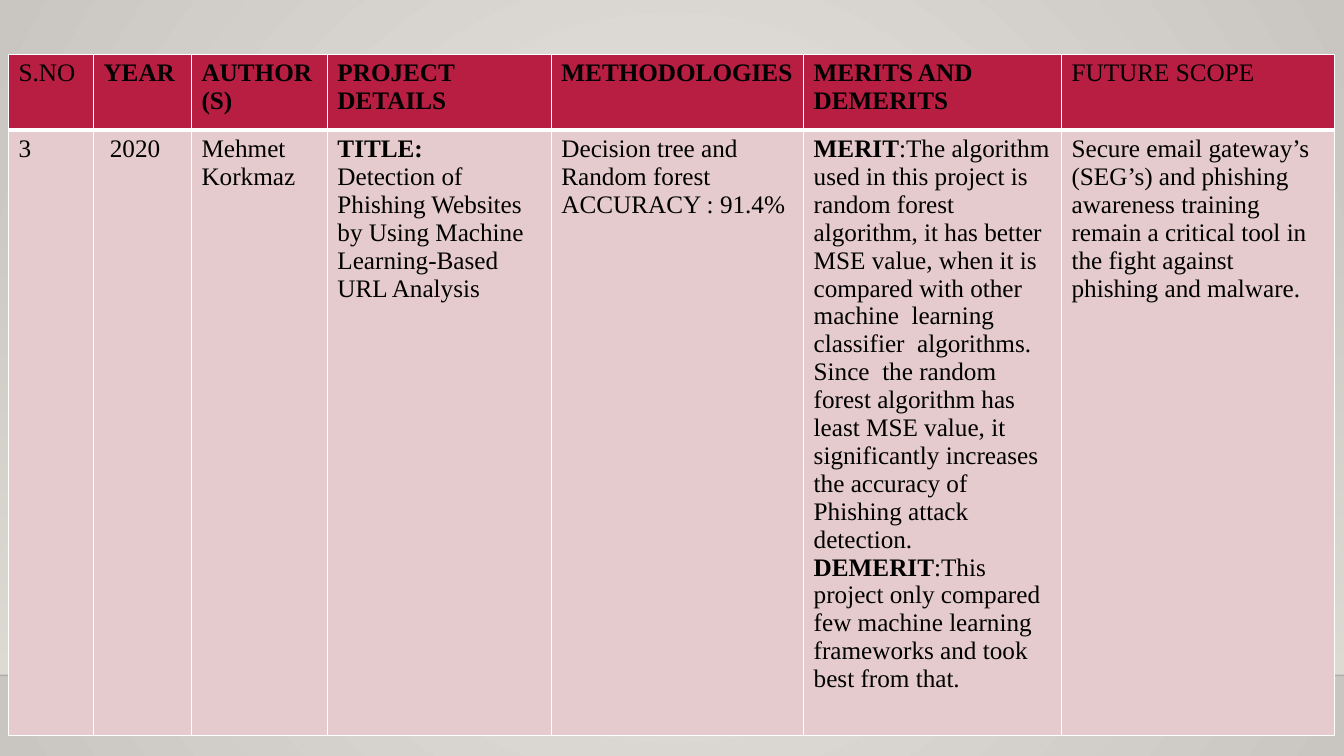
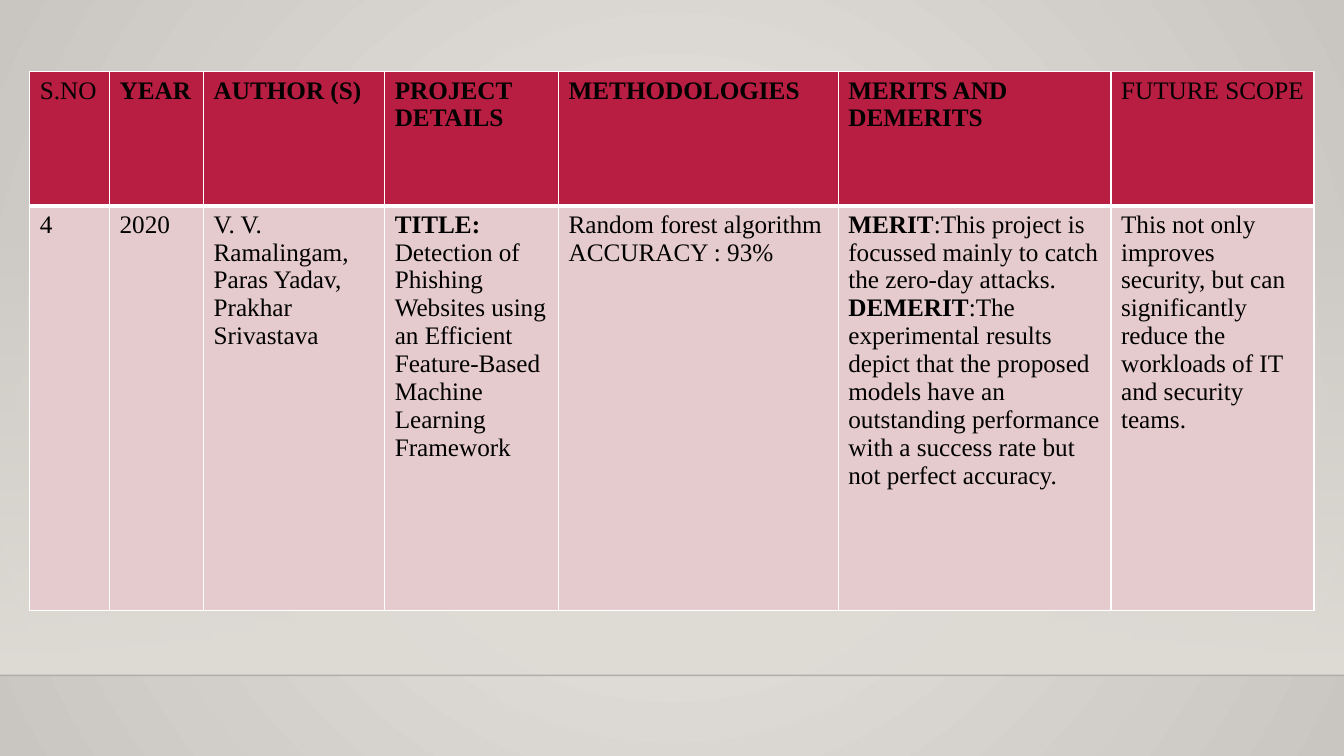
from lxml import etree
from pptx import Presentation
from pptx.dml.color import RGBColor
from pptx.enum.shapes import MSO_CONNECTOR, MSO_SHAPE
from pptx.oxml.ns import qn
from pptx.util import Pt

RECT = MSO_SHAPE.RECTANGLE
STRAIGHT = MSO_CONNECTOR.STRAIGHT
BLACK = RGBColor(0x00, 0x00, 0x00)
WHITE = RGBColor(0xFF, 0xFF, 0xFF)
RED = RGBColor(0xB7, 0x1E, 0x42)
PINK = RGBColor(0xE5, 0xCB, 0xCD)
LIGHT = RGBColor(0xEB, 0xE9, 0xE6)
GREY = RGBColor(0xC9, 0xC5, 0xC0)
SAND = RGBColor(0xDF, 0xDB, 0xD5)
FONT = "Times New Roman"
SIZE = 18
WIDE, HIGH = 960, 540
FLOOR = 482.4
BAND = 159.1

HEADS = [
    ("", "S.NO"), ("YEAR", ""), ("AUTHOR (S)", ""), ("PROJECT DETAILS", ""),
    ("METHODOLOGIES", ""), ("MERITS AND DEMERITS", ""), ("", "FUTURE SCOPE"),
]
PAPERS = [
    {
        "at": (6.1, 38.9),
        "cols": [60.7, 70, 97.1, 160, 180.2, 184.2, 195],
        "rows": [54, 432.7],
        "cells": [
            [("", "3")],
            [(" ", "2020")],
            [("", "Mehmet Korkmaz")],
            [("TITLE:", ""),
             ("", "Detection of Phishing Websites by Using Machine "
                  "Learning-Based URL Analysis")],
            [("", "Decision tree and Random forest"),
             ("", "ACCURACY : 91.4%")],
            [("MERIT", ":The algorithm used in this project is random forest "
                       "algorithm, it has better MSE value, when it is "
                       "compared with other  machine  learning  classifier  "
                       "algorithms.  Since  the random forest algorithm has "
                       "least MSE value, it significantly increases the "
                       "accuracy of Phishing attack detection."),
             ("DEMERIT", ":This project only compared few machine learning "
                         "frameworks and took best from that.")],
            [("", "Secure email gateway’s (SEG’s) and phishing awareness "
                  "training remain a critical tool in the fight against "
                  "phishing and malware.")],
        ],
    },
    {
        "at": (21.3, 51.1),
        "cols": [57, 67.2, 129.4, 124.2, 199.8, 194.8, 145],
        "rows": [95.8, 289.4],
        "cells": [
            [("", "4")],
            [("", "2020")],
            [("", "V. V. Ramalingam, Paras Yadav, Prakhar Srivastava")],
            [("TITLE:", ""),
             ("", "Detection of Phishing Websites using an Efficient "
                  "Feature-Based Machine Learning Framework")],
            [("", "Random forest algorithm"), ("", "ACCURACY : 93%")],
            [("MERIT", ":This project is focussed mainly to catch the "
                       "zero-day attacks."),
             ("DEMERIT", ":The experimental results depict that the proposed "
                         "models have an outstanding performance with a "
                         "success rate but not perfect accuracy.")],
            [("", "This not only improves security, but can significantly "
                  "reduce the workloads of IT and security teams.")],
        ],
    },
]


def blend(fill, first, last):
    fill.gradient()
    for stop, tone in zip(fill.gradient_stops, (first, last)):
        stop.color.rgb = tone


def fade(shape, part, share):
    tone = shape.element.find(f".//{qn(part)}//{qn('a:srgbClr')}")
    etree.SubElement(tone, qn("a:alpha"), val=str(share * 1000))


def backdrop(master):
    blend(master.background.fill, LIGHT, GREY)
    line = master.element.find(f".//{qn('p:bg')}//{qn('a:lin')}")
    glow = etree.Element(qn("a:path"))
    glow.set("path", "circle")
    sides = {side: "50000" for side in "ltrb"}
    etree.SubElement(glow, qn("a:fillToRect"), sides)
    line.getparent().replace(line, glow)


def stage(master, slide):
    band = slide.shapes.add_shape(
        RECT, Pt(0), Pt(BAND), Pt(WIDE), Pt(FLOOR - BAND))
    band.shadow.inherit = False
    band.line.fill.background()
    blend(band.fill, SAND, SAND)
    band.fill.gradient_angle = 270
    fade(band, "a:gradFill", 0)

    edge = slide.shapes.add_connector(
        STRAIGHT, Pt(0), Pt(FLOOR), Pt(WIDE), Pt(FLOOR))
    edge.line.color.rgb = BLACK
    edge.line.width = Pt(1)
    fade(edge, "a:ln", 20)
    props = edge.element.find(qn("p:spPr"))
    etree.SubElement(props, qn("a:effectLst"))

    for shape in (band, edge):
        master.shapes.element.append(shape.element)


def border(cell, top, base):
    props = cell.fill._xPr
    sides = (("L", 1), ("R", 1), ("T", top), ("B", base))
    for spot, (side, width) in enumerate(sides):
        line = etree.Element(qn(f"a:ln{side}"), w=str(Pt(width)))
        solid = etree.SubElement(line, qn("a:solidFill"))
        etree.SubElement(solid, qn("a:srgbClr"), val=str(WHITE))
        props.insert(spot, line)


def write(cell, paras):
    frame = cell.text_frame
    for spot, parts in enumerate(paras):
        para = frame.add_paragraph() if spot else frame.paragraphs[0]
        para.font.name = FONT
        para.font.size = Pt(SIZE)
        para.font.color.rgb = BLACK
        for text, bold in zip(parts, (True, False)):
            if text:
                run = para.add_run()
                run.text = text
                run.font.bold = bold


def review(slide, at, cols, rows, cells):
    left, top = at
    grid = slide.shapes.add_table(
        len(rows), len(cols), Pt(left), Pt(top),
        Pt(sum(cols)), Pt(sum(rows))).table
    grid.first_row = False
    grid.horz_banding = False
    for col, width in zip(grid.columns, cols):
        col.width = Pt(width)
    for row, height in zip(grid.rows, rows):
        row.height = Pt(height)
    looks = (
        ([[head] for head in HEADS], RED, 1, 3),
        (cells, PINK, 3, 1),
    )
    for row, (texts, tone, above, below) in zip(grid.rows, looks):
        for cell, paras in zip(row.cells, texts):
            cell.fill.solid()
            cell.fill.fore_color.rgb = tone
            border(cell, above, below)
            write(cell, paras)


def main():
    deck = Presentation()
    deck.slide_width, deck.slide_height = Pt(WIDE), Pt(HIGH)
    master = deck.slide_master
    blank = deck.slide_layouts[6]
    slides = [deck.slides.add_slide(blank) for _ in PAPERS]
    backdrop(master)
    stage(master, slides[0])
    for slide, paper in zip(slides, PAPERS):
        review(slide, **paper)
    deck.save("out.pptx")


if __name__ == "__main__":
    main()
